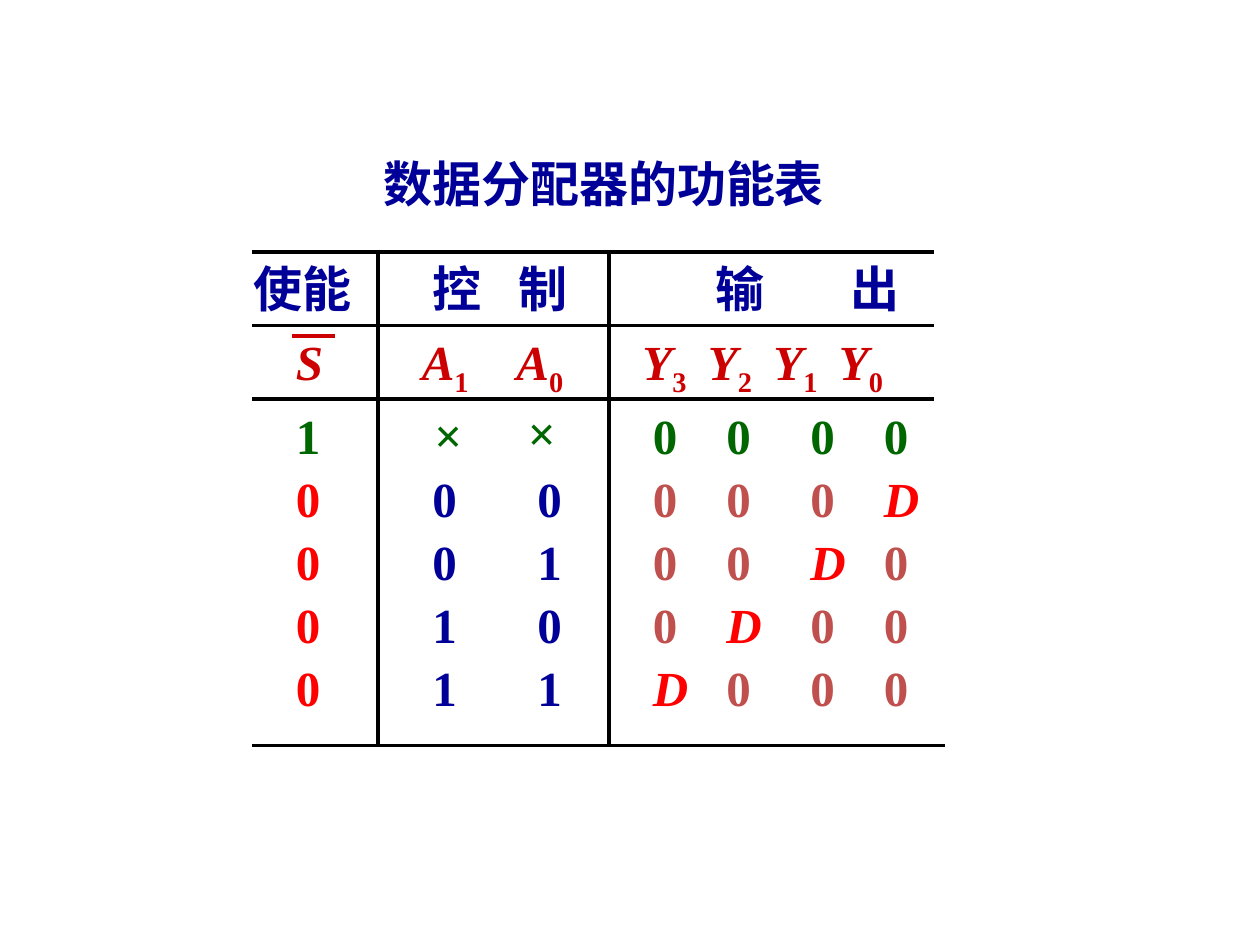
import dataclasses

import lxml.etree
import pptx
import pptx.dml.color
import pptx.enum.shapes
import pptx.enum.text
import pptx.oxml.ns
import pptx.util


@dataclasses.dataclass(frozen=True)
class Theme:
    font: str = "Times New Roman"
    size: int = 28
    rule_width: float = 2.25
    heading: str = "000099"
    symbol: str = "CC0000"
    disabled: str = "006600"
    enable: str = "FF0000"
    control: str = "000099"
    zero: str = "C0504D"
    data: str = "FF0000"
    rule: str = "000000"


THEME = Theme()
UNIT = pptx.util.Inches(10) / 120  # the slide is a grid of 120 columns by 90 rows
LINE_HEIGHT = 6.8
DIGIT_WIDTH, LETTER_WIDTH = 4.8, 5.8

COLUMNS = (3, 16, 26, 37, 44, 52, 59)  # S, A1, A0, Y3, Y2, Y1, Y0
BODY_TOP, ROW_STEP = 14, 6
BODY_ROWS = ("1××0000", "000000D", "00100D0", "0100D00", "011D000")
CROSS_PLACES = {1: (16.2, 13.9), 2: (25.1, 13.7)}


def grid(value):
    return pptx.util.Emu(round(value * UNIT))


def add_text(slide, box, runs, color, wrap=False, tab_step=None, tab_count=0, centred=False):
    """Place one line of (text, style) runs; style is '', 'italic' or 'subscript'."""
    shape = slide.shapes.add_textbox(*map(grid, box))
    frame = shape.text_frame
    frame.word_wrap = wrap
    paragraph = frame.paragraphs[0]
    paragraph.alignment = (pptx.enum.text.PP_ALIGN.CENTER if centred
                           else pptx.enum.text.PP_ALIGN.LEFT)
    if tab_count:
        properties = paragraph._p.get_or_add_pPr()
        tabs = lxml.etree.SubElement(properties, pptx.oxml.ns.qn("a:tabLst"))
        for number in range(1, tab_count + 1):
            position = pptx.util.Inches(tab_step * number)
            lxml.etree.SubElement(tabs, pptx.oxml.ns.qn("a:tab"), pos=str(position), algn="l")
    for text, style in runs:
        run = paragraph.add_run()
        run.text = text
        run.font.name = THEME.font
        run.font.size = pptx.util.Pt(THEME.size)
        run.font.bold = True
        run.font.italic = style == "italic"
        run.font.color.rgb = pptx.dml.color.RGBColor.from_string(color)
        if style == "subscript":
            run._r.get_or_add_rPr().set("baseline", "-25000")


def add_rule(slide, start, end, color):
    connector = slide.shapes.add_connector(
        pptx.enum.shapes.MSO_CONNECTOR.STRAIGHT, *map(grid, (*start, *end)))
    connector.line.color.rgb = pptx.dml.color.RGBColor.from_string(color)
    connector.line.width = pptx.util.Pt(THEME.rule_width)
    lxml.etree.SubElement(connector._element.spPr, pptx.oxml.ns.qn("a:effectLst"))


def draw_title(slide, box):
    add_text(slide, box, [("数据分配器的功能表", "")], THEME.heading, wrap=True, centred=True)


def draw_rules(slide, left, top, width, height):
    # Horizontal rules; the bottom one runs the full width
    for row in (0, 7, BODY_TOP, height):
        right = left + (width if row == height else width - 1)
        add_rule(slide, (left, top + row), (right, top + row), THEME.rule)
    # Vertical rules between enable, control and output
    for column in (12, 34):
        add_rule(slide, (left + column, top), (left + column, top + height), THEME.rule)


def draw_header(slide, left, top):
    # Group headings: text, column, width, tab step in inches
    for text, column, width, step in (("使能", -1, 12, None),
                                      ("控\t制", 16, 17, 0.68),
                                      ("输\t出", 43, 22, 1.07)):
        add_text(slide, (left + column, top, width, LINE_HEIGHT), [(text, "")],
                 THEME.heading, wrap=True, tab_step=step, tab_count=text.count("\t"))
    # Signal names
    outputs = []
    for index in "3210":
        outputs += [("Y", "italic"), (index if index == "0" else index + "\t", "subscript")]
    for runs, column, width, tab_count in (
            ([("S", "italic")], 3, 5, 0),
            ([("A", "italic"), ("1", "subscript")], 15, 7, 0),
            ([("A", "italic"), ("0", "subscript")], 24, 10, 0),
            (outputs, 36, 36, 3)):
        add_text(slide, (left + column, top + 7, width, LINE_HEIGHT), runs, THEME.symbol,
                 wrap=width >= 10, tab_step=0.52, tab_count=tab_count)
    # Bar over the active-low S
    add_rule(slide, (left + 3.85, top + 8), (left + 7.9, top + 8), THEME.symbol)


def cell_color(row, column, value):
    if row == 0:
        return THEME.disabled
    if column == 0:
        return THEME.enable
    if column < 3:
        return THEME.control
    return THEME.data if value == "D" else THEME.zero


def draw_body(slide, left, top):
    for row, values in enumerate(BODY_ROWS):
        for column, value in enumerate(values):
            x, y = COLUMNS[column], BODY_TOP + row * ROW_STEP
            if value == "×":
                x, y = CROSS_PLACES[column]
            is_data = value == "D"
            width = LETTER_WIDTH if is_data else DIGIT_WIDTH
            add_text(slide, (left + x, top + y, width, LINE_HEIGHT),
                     [(value, "italic" if is_data else "")],
                     cell_color(row, column, value))


def draw_function_table(slide, left, top, width, height):
    draw_rules(slide, left, top, width, height)
    draw_header(slide, left, top)
    draw_body(slide, left, top)


def main():
    presentation = pptx.Presentation()
    presentation.slide_width = grid(120)
    presentation.slide_height = grid(90)
    slide = presentation.slides.add_slide(presentation.slide_layouts[6])
    draw_title(slide, (21, 14, 73, 7))
    draw_function_table(slide, 24, 24, 66, 47)
    presentation.save("out.pptx")


if __name__ == "__main__":
    main()
